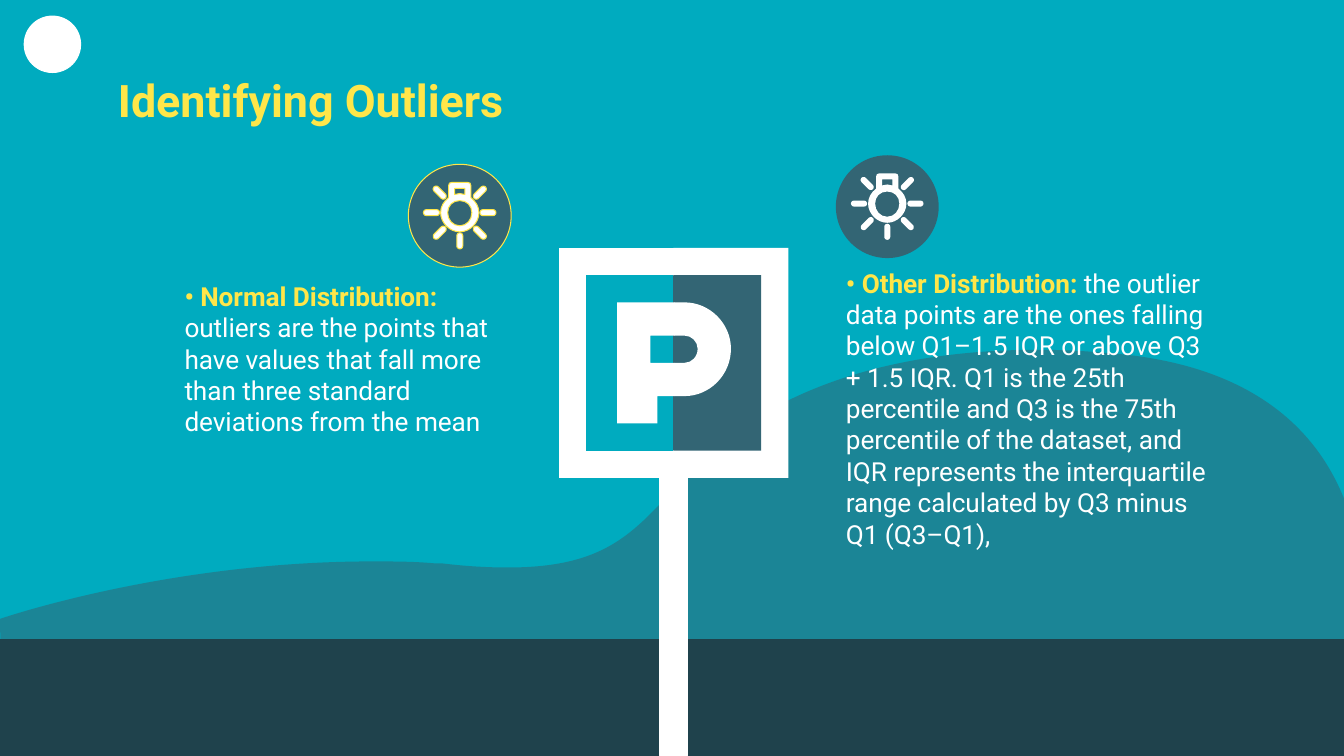
from dataclasses import dataclass

from lxml import etree
from pptx import Presentation
from pptx import util as u
from pptx.dml.color import RGBColor
from pptx.enum import shapes, text
from pptx.oxml.ns import qn


@dataclass(frozen=True)
class Theme:
    sky: str = "00ABBF"
    slate: str = "336574"
    ground: str = "1F424C"
    white: str = "FFFFFF"
    yellow: str = "FFE649"
    font: str = "Roboto"
    head: float = 32
    body: float = 18.67
    edge: float = 0.75


theme = Theme()


def paint(shape, fill, edge=None):
    shape.shadow.inherit = False
    shape.fill.solid()
    shape.fill.fore_color.rgb = RGBColor.from_string(fill)
    if edge:
        shape.line.color.rgb = RGBColor.from_string(edge)
        shape.line.width = u.Pt(theme.edge)
    else:
        shape.line.fill.background()
    return shape


def trace(parent, loops, fill, edge=None, left=0, top=0):
    build = None
    for loop in loops:
        spots = [
            (u.Inches(left + step[i]), u.Inches(top + step[i + 1]))
            for step in loop for i in range(0, len(step), 2)
        ]
        if build is None:
            build = parent.build_freeform(*spots[0], scale=1.0)
        else:
            build.move_to(*spots[0])
        build.add_line_segments(spots[1:], close=True)
    shape = build.convert_to_shape()
    lines = iter(list(shape._element.iter(qn("a:lnTo"))))
    for loop in loops:
        for step in loop[1:]:
            first = next(lines)
            if len(step) == 6:
                curve = etree.Element(qn("a:cubicBezTo"))
                first.addprevious(curve)
                for line in (first, next(lines), next(lines)):
                    curve.append(line[0])
                    line.getparent().remove(line)
    return paint(shape, fill, edge)


deck = Presentation()
deck.slide_width, deck.slide_height = u.Inches(13.33), u.Inches(7.5)
slide = deck.slides.add_slide(deck.slide_layouts[3])
slide.background.fill.solid()
slide.background.fill.fore_color.rgb = RGBColor.from_string(theme.sky)
kinds = shapes.MSO_SHAPE

hill = trace(slide.shapes, [[
    (10.3, 3.47), (8.42, 3.47, 7.43, 4.11, 6.97, 4.56),
    (6.35, 5.16, 6.17, 5.63, 5.04, 5.63), (4.85, 5.63, 4.64, 5.62, 4.39, 5.59),
    (4.37, 5.59, 4.35, 5.59, 4.32, 5.59), (4.11, 5.57, 3.9, 5.57, 3.69, 5.57),
    (1.65, 5.57, 0, 6.14, 0, 6.14), (0.02, 7.06), (13.38, 7.18),
    (13.38, 7.18, 14.43, 3.74, 10.96, 3.5), (10.73, 3.48, 10.51, 3.47, 10.3, 3.47),
]], theme.slate)
tint = hill.fill._xPr.find(qn("a:solidFill"))[0]
etree.SubElement(tint, qn("a:alpha"), val="54000")

ground = slide.shapes.add_shape(
    kinds.RECTANGLE, 0, u.Inches(6.34), deck.slide_width, u.Inches(1.16))
paint(ground, theme.ground)
dot = slide.shapes.add_shape(
    kinds.OVAL, u.Inches(0.24), u.Inches(0.16), u.Inches(0.56), u.Inches(0.56))
paint(dot, theme.white, theme.white)

sign = slide.shapes.add_group_shape().shapes
mid, axis = 6.68, 3.6
for half, notch, right, left in (
    (1.14, 0.67, theme.white, theme.white),
    (0.87, 0.54, theme.slate, theme.sky),
):
    top, base = axis - half, axis + half
    trace(sign, [[(mid, top), (mid - notch, axis), (mid, base),
                  (mid + half, base), (mid + half, top)]], right)
    trace(sign, [[(mid - half, top), (mid - half, base), (mid, base), (mid, top)]], left)
trace(sign, [[
    (6.69, 3), (6.55, 3.16), (6.69, 3.33), (6.79, 3.33),
    (6.86, 3.33, 6.92, 3.39, 6.92, 3.46), (6.92, 3.54, 6.86, 3.6, 6.79, 3.6),
    (6.69, 3.6), (6.55, 3.76), (6.69, 3.93), (6.79, 3.93),
    (7.04, 3.93, 7.25, 3.72, 7.25, 3.46), (7.25, 3.21, 7.04, 3, 6.79, 3),
]], theme.white)
trace(sign, [[
    (6.12, 3), (6.12, 4.2), (6.52, 4.2), (6.52, 3.93), (6.69, 3.93),
    (6.69, 3.6), (6.45, 3.6), (6.45, 3.33), (6.69, 3.33), (6.69, 3),
]], theme.white)
post = sign.add_shape(
    kinds.RECTANGLE, u.Inches(6.54), u.Inches(4.54), u.Inches(0.28), u.Inches(2.96))
paint(post, theme.white, theme.white)

copy = [
    ((1.04, 0.57, 11.25, 0.84), theme.head, "Identifying Outliers", ""),
    ((1.7, 2.65, 3.37, 1.41), theme.body, "• Normal Distribution: ",
     "outliers are the points that have values that fall more than three standard "
     "deviations from the mean"),
    ((8.26, 2.52, 3.84, 1.41), theme.body, "• Other Distribution: ",
     "the outlier data points are the ones falling below Q1–1.5 IQR or above Q3 + 1.5 IQR. "
     "Q1 is the 25th percentile and Q3 is the 75th percentile of the dataset, and IQR "
     "represents the interquartile range calculated by Q3 minus Q1 (Q3–Q1),"),
]
for holder, (place, size, lead, rest) in zip(list(slide.placeholders), copy):
    holder.left, holder.top, holder.width, holder.height = map(u.Inches, place)
    slide.shapes._spTree.append(holder._element)
    frame = holder.text_frame
    frame.word_wrap = True
    frame.auto_size = text.MSO_AUTO_SIZE.NONE
    frame.margin_left = frame.margin_right = u.Inches(0.13)
    frame.margin_top = frame.margin_bottom = u.Inches(0.13)
    frame.vertical_anchor = text.MSO_ANCHOR.TOP if rest else text.MSO_ANCHOR.MIDDLE
    para = frame.paragraphs[0]
    para.alignment = text.PP_ALIGN.LEFT
    para.space_before = u.Pt(0)
    if rest:
        para.space_after = u.Pt(13.33)
        props = para._p.get_or_add_pPr()
        props.set("marL", "0")
        props.set("indent", "0")
        etree.SubElement(props, qn("a:buNone"))
    para.font.name, para.font.size = theme.font, u.Pt(size)
    for words, shade, bold in ((lead, theme.yellow, True), (rest, theme.white, False)):
        if words:
            run = para.add_run()
            run.text = words
            run.font.bold = bold
            run.font.color.rgb = RGBColor.from_string(shade)

bulb = [
    [(0.05, -0.24), (0.05, -0.18), (0.03, -0.18, 0.02, -0.19, 0, -0.19),
     (-0.02, -0.19, -0.03, -0.18, -0.05, -0.18), (-0.05, -0.24)],
    [(0, -0.12), (0.07, -0.12, 0.12, -0.07, 0.12, 0), (0.12, 0.07, 0.07, 0.13, 0, 0.13),
     (-0.07, 0.13, -0.12, 0.07, -0.12, 0), (-0.12, -0.07, -0.07, -0.12, 0, -0.12)],
    [(-0.08, -0.3), (-0.1, -0.3, -0.11, -0.29, -0.11, -0.27), (-0.11, -0.15),
     (-0.16, -0.11, -0.19, -0.06, -0.19, 0), (-0.19, 0.1, -0.1, 0.19, 0, 0.19),
     (0.1, 0.19, 0.19, 0.1, 0.19, 0), (0.19, -0.06, 0.16, -0.11, 0.11, -0.15),
     (0.11, -0.27), (0.11, -0.29, 0.1, -0.3, 0.08, -0.3)],
]
rays = [(1, 0, 0), (0.71, 0.71, 45), (0, 1, 90), (-0.71, 0.71, 135),
        (-1, 0, 0), (-0.71, -0.71, 45), (0.71, -0.71, 135)]
for x, y, edge in ((4.56, 2.11, theme.yellow), (8.8, 2.02, None)):
    icon = slide.shapes.add_group_shape().shapes
    disc = icon.add_shape(
        kinds.OVAL, u.Inches(x - 0.51), u.Inches(y - 0.48), u.Inches(1.02), u.Inches(1.02))
    paint(disc, theme.slate, edge)
    trace(icon, bulb, theme.white, edge, x, y)
    for across, down, turn in rays:
        ray = icon.add_shape(
            kinds.ROUNDED_RECTANGLE, u.Inches(x + 0.28 * across - 0.08),
            u.Inches(y + 0.28 * down - 0.03), u.Inches(0.16), u.Inches(0.06))
        ray.adjustments[0] = 0.5
        ray.rotation = turn
        paint(ray, theme.white, edge)

deck.save("out.pptx")
